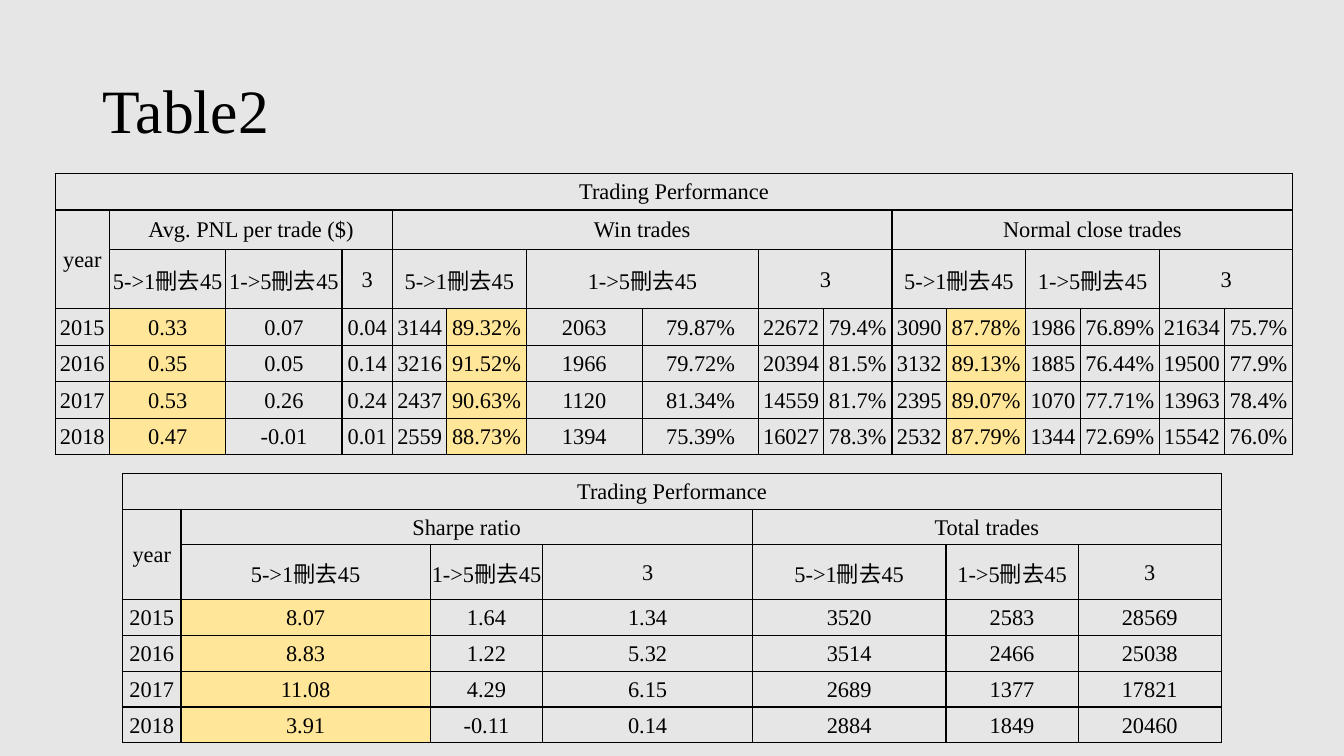
from dataclasses import dataclass

from lxml.etree import SubElement
from pptx import Presentation
from pptx.dml.color import RGBColor
from pptx.enum.text import MSO_ANCHOR, PP_ALIGN
from pptx.oxml.ns import qn
from pptx.util import Cm, Pt


@dataclass(frozen=True)
class Theme:
    background: str = "E7E6E6"
    ink: str = "000000"
    highlight: str = "FFE699"
    font: str = "Times New Roman"
    title_size: int = 44
    table_size: int = 16
    border_width: int = 1


THEME = Theme()
CELL_FORMAT = {
    "margin_left": Cm(0.03),
    "margin_right": Cm(0.03),
    "margin_top": Cm(0.03),
    "margin_bottom": 0,
    "vertical_anchor": MSO_ANCHOR.MIDDLE,
}
TITLE_FORMAT = {"word_wrap": True, "vertical_anchor": MSO_ANCHOR.MIDDLE}
TABLE_FORMAT = {"first_row": False, "horz_banding": False}

METHODS = ["5->1刪去45", "1->5刪去45", "3"]
TRADE_WIDTHS = [1.37, 2.0, 2.93, 2.93, 1.63, 1.73]
CLOSE_WIDTHS = [1.37, 2.0, 1.37, 2.0, 1.63, 1.73]

PERFORMANCE = {
    "left": 1.39,
    "top": 4.37,
    "widths": [1.37, 2.93, 2.93, 1.27] + TRADE_WIDTHS + CLOSE_WIDTHS,
    "heights": [0.92, 0.99, 1.5] + [0.92] * 4,
    "groups": [("Avg. PNL per trade ($)", 1), ("Win trades", 2), ("Normal close trades", 2)],
    "highlighted": {1, 5, 11},
    "records": [
        "2015 0.33 0.07 0.04 3144 89.32% 2063 79.87% 22672 79.4% 3090 87.78% 1986 76.89% 21634 75.7%",
        "2016 0.35 0.05 0.14 3216 91.52% 1966 79.72% 20394 81.5% 3132 89.13% 1885 76.44% 19500 77.9%",
        "2017 0.53 0.26 0.24 2437 90.63% 1120 81.34% 14559 81.7% 2395 89.07% 1070 77.71% 13963 78.4%",
        "2018 0.47 -0.01 0.01 2559 88.73% 1394 75.39% 16027 78.3% 2532 87.79% 1344 72.69% 15542 76.0%",
    ],
}
RATIOS = {
    "left": 3.09,
    "top": 11.93,
    "widths": [1.47, 6.28, 2.84, 5.28, 4.88, 3.33, 3.61],
    "heights": [0.9, 0.9, 0.97] + [0.9] * 4,
    "groups": [("Sharpe ratio", 1), ("Total trades", 1)],
    "highlighted": {1},
    "records": [
        "2015 8.07 1.64 1.34 3520 2583 28569",
        "2016 8.83 1.22 5.32 3514 2466 25038",
        "2017 11.08 4.29 6.15 2689 1377 17821",
        "2018 3.91 -0.11 0.14 2884 1849 20460",
    ],
}


def apply_format(target, values):
    for name, value in values.items():
        setattr(target, name, value)


def write_text(paragraph, text, size):
    run = paragraph.add_run()
    run.text = text
    apply_format(run.font, {"name": THEME.font, "size": Pt(size)})
    run.font.color.rgb = RGBColor.from_string(THEME.ink)


def add_title(slide, text):
    shape = slide.shapes.add_textbox(Cm(2.33), Cm(1.01), Cm(29.21), Cm(3.68))
    apply_format(shape.text_frame, TITLE_FORMAT)
    paragraph = shape.text_frame.paragraphs[0]
    paragraph.line_spacing = 0.9
    write_text(paragraph, text, THEME.title_size)


def style_cell(cell, highlighted):
    apply_format(cell, CELL_FORMAT)
    properties = cell._tc.get_or_add_tcPr()
    for side in ("a:lnL", "a:lnR", "a:lnT", "a:lnB"):
        line = SubElement(properties, qn(side), w=str(Pt(THEME.border_width)))
        fill = SubElement(line, qn("a:solidFill"))
        SubElement(fill, qn("a:srgbClr"), val=THEME.ink)
    if highlighted:
        cell.fill.solid()
        cell.fill.fore_color.rgb = RGBColor.from_string(THEME.highlight)
    else:
        cell.fill.background()


def fill_cell(table, row, column, text, rows=1, columns=1):
    cell = table.cell(row, column)
    if rows * columns > 1:
        cell.merge(table.cell(row + rows - 1, column + columns - 1))
    paragraph = cell.text_frame.paragraphs[0]
    paragraph.alignment = PP_ALIGN.CENTER
    write_text(paragraph, text, THEME.table_size)


def fill_header(table, groups):
    fill_cell(table, 0, 0, "Trading Performance", columns=len(table.columns))
    fill_cell(table, 1, 0, "year", rows=2)
    column = 1
    for title, span in groups:
        fill_cell(table, 1, column, title, columns=span * len(METHODS))
        for method in METHODS:
            fill_cell(table, 2, column, method, columns=span)
            column += span


def add_result_table(slide, left, top, widths, heights, groups, highlighted, records):
    shape = slide.shapes.add_table(
        len(heights), len(widths), Cm(left), Cm(top), Cm(sum(widths)), Cm(sum(heights))
    )
    table = shape.table
    apply_format(table, TABLE_FORMAT)
    for column, width in zip(table.columns, widths):
        column.width = Cm(width)
    for row, height in zip(table.rows, heights):
        row.height = Cm(height)
    first_record = len(heights) - len(records)
    for row in range(len(heights)):
        for column in range(len(widths)):
            style_cell(table.cell(row, column), row >= first_record and column in highlighted)
    fill_header(table, groups)
    for row, record in enumerate(records, first_record):
        for column, value in enumerate(record.split()):
            fill_cell(table, row, column, value)


def main():
    presentation = Presentation()
    apply_format(presentation, {"slide_width": Cm(33.87), "slide_height": Cm(19.05)})
    slide = presentation.slides.add_slide(presentation.slide_layouts[6])
    slide.background.fill.solid()
    slide.background.fill.fore_color.rgb = RGBColor.from_string(THEME.background)
    add_title(slide, "Table2")
    for content in (PERFORMANCE, RATIOS):
        add_result_table(slide, **content)
    presentation.save("out.pptx")


if __name__ == "__main__":
    main()
